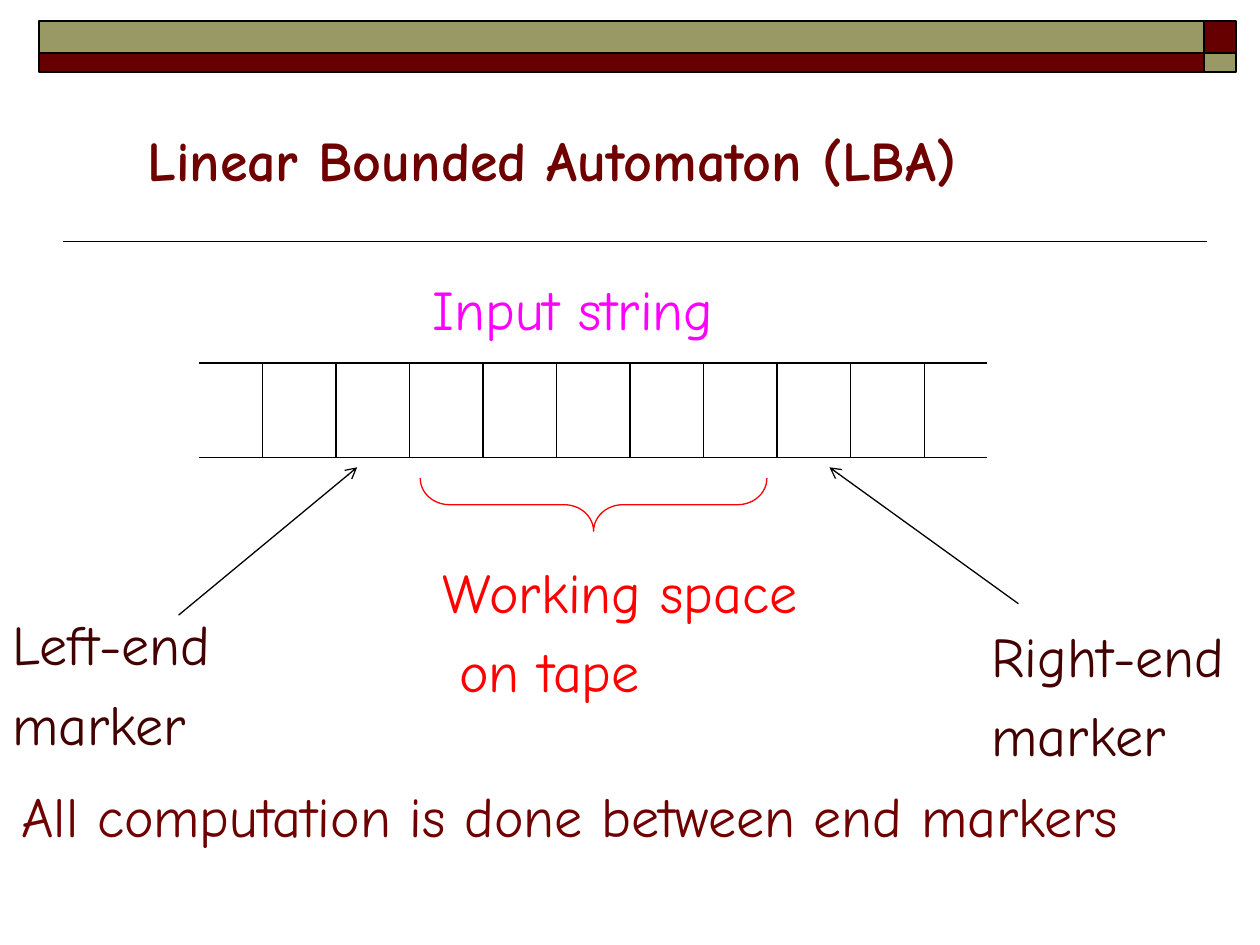
from pptx import Presentation
from pptx import util as u
from pptx.dml.color import RGBColor
from pptx.enum import shapes, text
from pptx.oxml.ns import qn
from lxml import etree

FONT = "Comic Neue"
BLACK, MAROON, OLIVE = "000000", "660000", "999966"
DARK_RED, BROWN, RED, MAGENTA = "6E0000", "420000", "FF0000", "FF00FF"


def color(value):
    return RGBColor.from_string(value)


def style_line(line, value, width):
    line.color.rgb = color(value)
    line.width = u.Pt(width)


def add_line(page, start, end, width=0.75, arrow=False):
    """Draw a black line between two (x, y) points in cm."""
    ends = [u.Cm(value) for value in (*start, *end)]
    line = page.shapes.add_connector(shapes.MSO_CONNECTOR.STRAIGHT, *ends)
    style_line(line.line, BLACK, width)
    if arrow:
        outline = line.line._get_or_add_ln()
        etree.SubElement(outline, qn("a:tailEnd"), type="arrow")
    etree.SubElement(line._element.spPr, qn("a:effectLst"))


def add_shape(page, kind, place, line_color, width, fill=None):
    shape = page.shapes.add_shape(kind, *[u.Cm(value) for value in place])
    shape.shadow.inherit = False
    style_line(shape.line, line_color, width)
    if fill:
        shape.fill.solid()
        shape.fill.fore_color.rgb = color(fill)
    else:
        shape.fill.background()
    return shape


def add_text(page, place, lines, text_color, bold=False, second_indent=0):
    """Write one paragraph per line; second_indent (cm) shifts the later ones."""
    box = page.shapes.add_textbox(*[u.Cm(value) for value in place])
    frame = box.text_frame
    frame.word_wrap = True
    frame.auto_size = text.MSO_AUTO_SIZE.SHAPE_TO_FIT_TEXT
    for index, line in enumerate(lines):
        para = frame.add_paragraph() if index else frame.paragraphs[0]
        para.text = line
        if index:
            para.space_before = u.Pt(7)
            if second_indent:
                para._p.get_or_add_pPr().set("marL", str(u.Cm(second_indent)))
        para.font.name = FONT
        para.font.size = u.Pt(32)
        para.font.bold = bold
        para.font.color.rgb = color(text_color)


def add_header(page):
    add_line(page, (24.33, 4.87), (1.27, 4.87), width=1)
    columns = [(0.79, 23.49), (24.28, 0.64)]
    rows = [(0.43, 0.64), (1.07, 0.38)]
    for row, (top, height) in enumerate(rows):
        for column, (left, width) in enumerate(columns):
            fill = MAROON if row != column else OLIVE
            add_shape(page, shapes.MSO_SHAPE.RECTANGLE,
                      (left, top, width, height), BLACK, 1, fill)


def add_tape(page):
    top, bottom = 7.32, 9.22
    for y in (top, bottom):
        add_line(page, (4.02, y), (19.9, y))
    first, last, gaps = 5.29, 18.63, 9
    for index in range(gaps + 1):
        x = first + index * (last - first) / gaps
        add_line(page, (x, top), (x, bottom))


def add_working_space(page):
    brace = add_shape(page, shapes.MSO_SHAPE.RIGHT_BRACE,
                      (11.43, 6.68, 1.07, 6.99), RED, 0.75)
    brace.rotation = 90
    brace.adjustments[0] = 0.55
    brace.adjustments[1] = 0.5
    add_text(page, (8.68, 11.11, 8.2, 3.23), ["Working space", "on tape"],
             RED, second_indent=0.33)


def main():
    deck = Presentation()
    deck.slide_width, deck.slide_height = u.Cm(25.4), u.Cm(19.05)
    page = deck.slides.add_slide(deck.slide_layouts[6])

    add_header(page)
    add_text(page, (19.74, 12.4, 5.66, 3.23), ["Right-end", "marker"], BROWN)
    add_text(page, (0, 12.17, 5.21, 3.23), ["Left-end", "marker"], BROWN)
    add_tape(page)
    add_line(page, (3.6, 12.4), (7.2, 9.42), arrow=True)
    add_line(page, (20.53, 12.17), (16.72, 9.42), arrow=True)
    add_text(page, (8.47, 5.4, 6.91, 1.6), ["Input string"], MAGENTA)
    add_working_space(page)
    add_text(page, (0.18, 15.63, 24.56, 1.6),
             ["All computation is done between end markers"], DARK_RED)
    add_text(page, (2.72, 2.4, 18.49, 1.6),
             ["Linear Bounded Automaton (LBA)"], DARK_RED, bold=True)

    deck.save("out.pptx")


if __name__ == "__main__":
    main()
